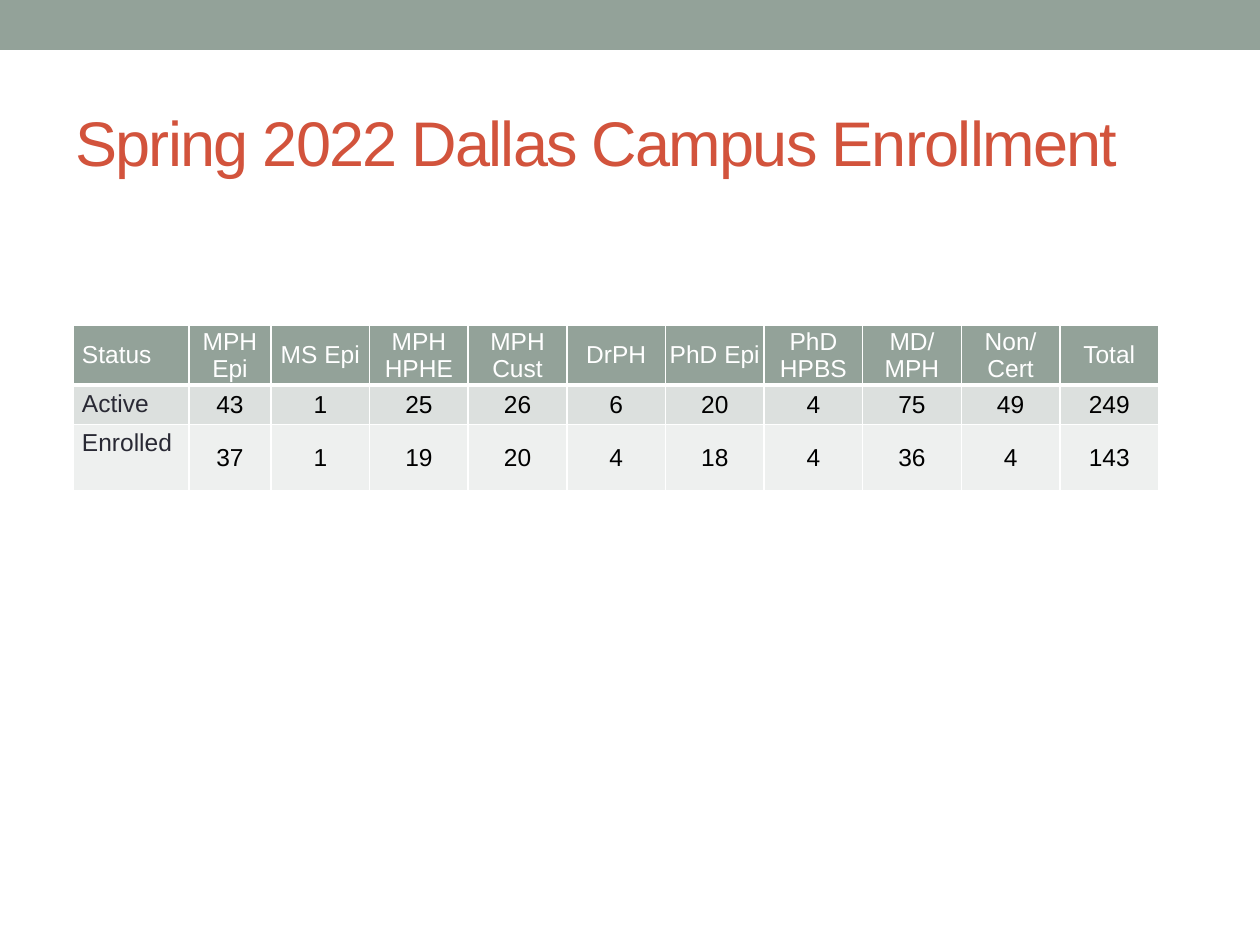
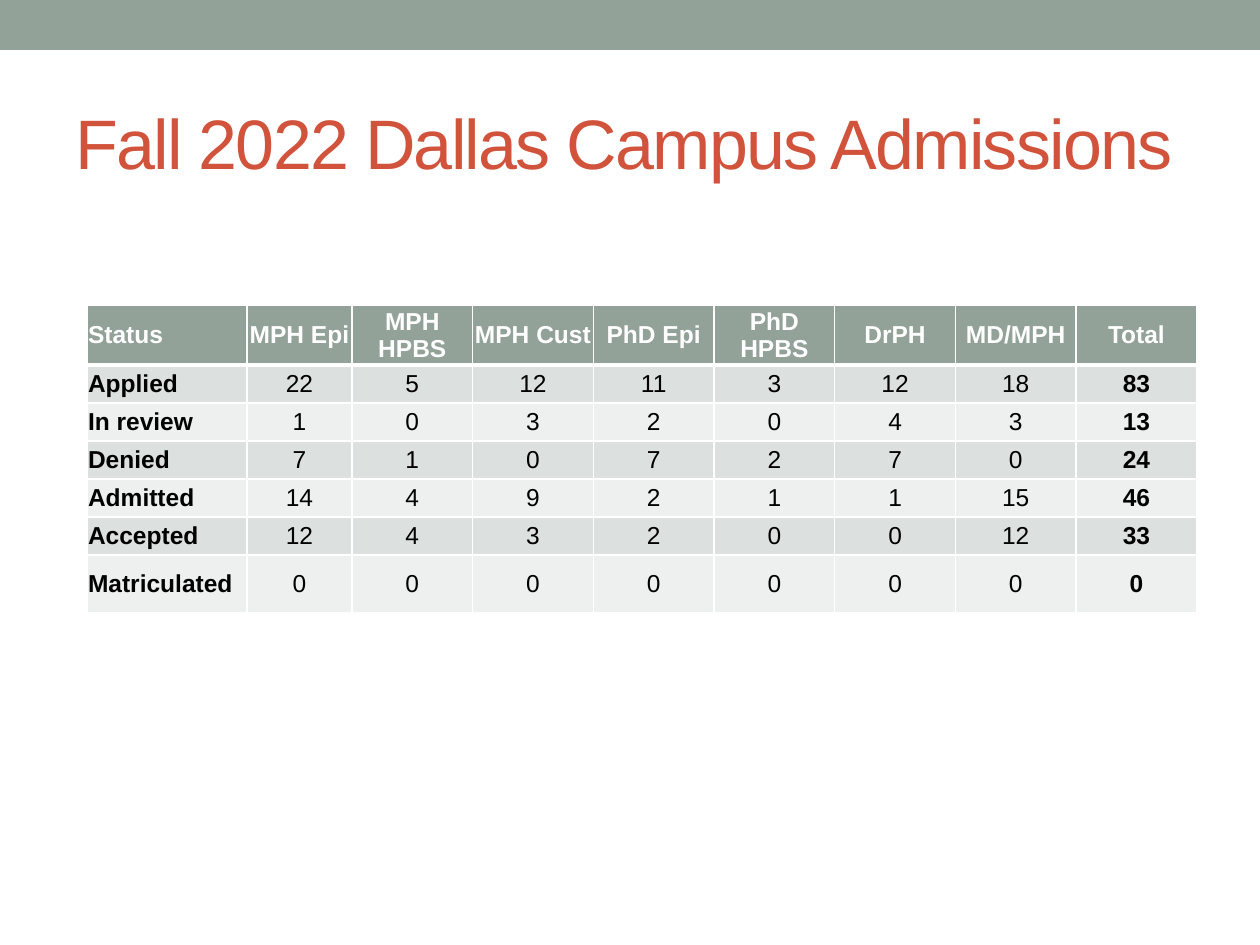
from dataclasses import dataclass

from lxml.etree import SubElement
from pptx import Presentation
from pptx.dml.color import RGBColor
from pptx.enum.shapes import MSO_SHAPE
from pptx.enum.text import MSO_ANCHOR, PP_ALIGN
from pptx.oxml import parse_xml
from pptx.oxml.ns import nsdecls
from pptx.util import Emu, Pt

SCALE = 914400 / 126


@dataclass(frozen=True)
class Theme:
    font: str = "Arial"
    band: str = "93A299"
    title: str = "D2533C"
    white: str = "FFFFFF"
    black: str = "000000"
    label: str = "292934"
    stripes: tuple = ("DCE0DE", "EEF0EF")
    cell_size: int = 14
    title_spacing: int = -100
    border: int = 1
    header_border: int = 3


THEME = Theme()
TIGHT = dict(margin_left=1, margin_top=1, margin_right=1, margin_bottom=0)
ROOMY = dict(margin_left=9, margin_top=5, margin_right=9, margin_bottom=5)

ENROLLMENT = [
    ["Status", "MPH Epi", "MS Epi", "MPH HPHE", "MPH Cust", "DrPH", "PhD Epi",
     "PhD HPBS", "MD/MPH", "Non/Cert", "Total"],
    ["Active", 43, 1, 25, 26, 6, 20, 4, 75, 49, 249],
    ["Enrolled", 37, 1, 19, 20, 4, 18, 4, 36, 4, 143],
]
ADMISSIONS = [
    ["Status", "MPH Epi", "MPH HPBS", "MPH Cust", "PhD Epi", "PhD HPBS",
     "DrPH", "MD/MPH", "Total"],
    ["Applied", 22, 5, 12, 11, 3, 12, 18, 83],
    ["In review", 1, 0, 3, 2, 0, 4, 3, 13],
    ["Denied", 7, 1, 0, 7, 2, 7, 0, 24],
    ["Admitted", 14, 4, 9, 2, 1, 1, 15, 46],
    ["Accepted", 12, 4, 3, 2, 0, 0, 12, 33],
    ["Matriculated", 0, 0, 0, 0, 0, 0, 0, 0],
]


def px(n):
    return Emu(round(n * SCALE))


def rgb(color):
    return RGBColor.from_string(color)


def set_all(obj, values):
    for name, value in values.items():
        setattr(obj, name, value)


def write(tf, text, size, color, bold=False, align=PP_ALIGN.LEFT):
    p = tf.paragraphs[0]
    p.alignment = align
    r = p.add_run()
    r.text = str(text)
    set_all(r.font, dict(name=THEME.font, size=Pt(size), bold=bold))
    r.font.color.rgb = rgb(color)
    return r


def add_band(slide, width):
    sp = slide.shapes.add_shape(MSO_SHAPE.RECTANGLE, 0, 0, width, px(50))
    sp.shadow.inherit = False
    sp.fill.solid()
    sp.fill.fore_color.rgb = rgb(THEME.band)
    sp.line.fill.background()


def add_title(slide, text, size):
    sp = slide.shapes.add_textbox(px(63), px(73), px(1134), px(136))
    tf = sp.text_frame
    set_all(tf, dict(word_wrap=True, vertical_anchor=MSO_ANCHOR.MIDDLE))
    r = write(tf, text, size, THEME.title)
    r.font._element.set("spc", str(THEME.title_spacing))


def set_borders(cell, bottom):
    tcPr = cell._tc.get_or_add_tcPr()
    widths = dict(lnL=THEME.border, lnR=THEME.border, lnT=THEME.border, lnB=bottom)
    for i, (tag, width) in enumerate(widths.items()):
        ln = parse_xml(f'<a:{tag} {nsdecls("a")} w="{Pt(width)}"/>')
        ns = ln.nsmap["a"]
        fill = SubElement(ln, f"{{{ns}}}solidFill")
        SubElement(fill, f"{{{ns}}}srgbClr", val=THEME.white)
        tcPr.insert(i, ln)


def format_cell(cell, text, fill, color, bold, align, anchor, margins):
    set_all(cell, {name: px(n) for name, n in margins.items()})
    cell.vertical_anchor = anchor
    write(cell.text_frame, text, THEME.cell_size, color, bold, align)
    cell.fill.solid()
    cell.fill.fore_color.rgb = rgb(fill)


def add_status_table(slide, rows, box, first_cols, heights, emphasis,
                     label_color, label_anchor, label_margins):
    n_cols = len(rows[0])
    left, top, width = box
    table = slide.shapes.add_table(len(rows), n_cols, px(left), px(top),
                                   px(width), px(sum(heights))).table
    n_equal = n_cols - len(first_cols)
    equal = (width - sum(first_cols)) / n_equal
    for col, w in zip(table.columns, first_cols + [equal] * n_equal):
        col.width = px(w)
    for row, h in zip(table.rows, heights):
        row.height = px(h)
    for i, values in enumerate(rows):
        header = i == 0
        fill = THEME.band if header else THEME.stripes[(i - 1) % 2]
        for j, text in enumerate(values):
            label = j == 0
            color = label_color if label else THEME.black
            edge = header or label or j == n_cols - 1
            cell = table.cell(i, j)
            format_cell(
                cell, text, fill,
                color=THEME.white if header else color,
                bold=emphasis and edge,
                align=PP_ALIGN.LEFT if label else PP_ALIGN.CENTER,
                anchor=label_anchor if label and not header else MSO_ANCHOR.MIDDLE,
                margins=label_margins if label else TIGHT)
            set_borders(cell, THEME.header_border if header else THEME.border)


def add_slide(prs, title, size):
    slide = prs.slides.add_slide(prs.slide_layouts[6])
    add_band(slide, prs.slide_width)
    add_title(slide, title, size)
    return slide


def main():
    prs = Presentation()
    set_all(prs, dict(slide_width=px(1260), slide_height=px(945)))

    slide = add_slide(prs, "Spring 2022 Dallas Campus Enrollment", 36)
    add_status_table(slide, ENROLLMENT, (73, 325, 1086), [116, 82], [58, 38, 66],
                     emphasis=False, label_color=THEME.label,
                     label_anchor=MSO_ANCHOR.TOP, label_margins=ROOMY)

    slide = add_slide(prs, "Fall 2022 Dallas Campus Admissions", 40)
    add_status_table(slide, ADMISSIONS, (87, 305, 1110), [160, 105],
                     [58] + [38] * 5 + [58],
                     emphasis=True, label_color=THEME.black,
                     label_anchor=MSO_ANCHOR.MIDDLE, label_margins=TIGHT)

    prs.save("out.pptx")


main()
